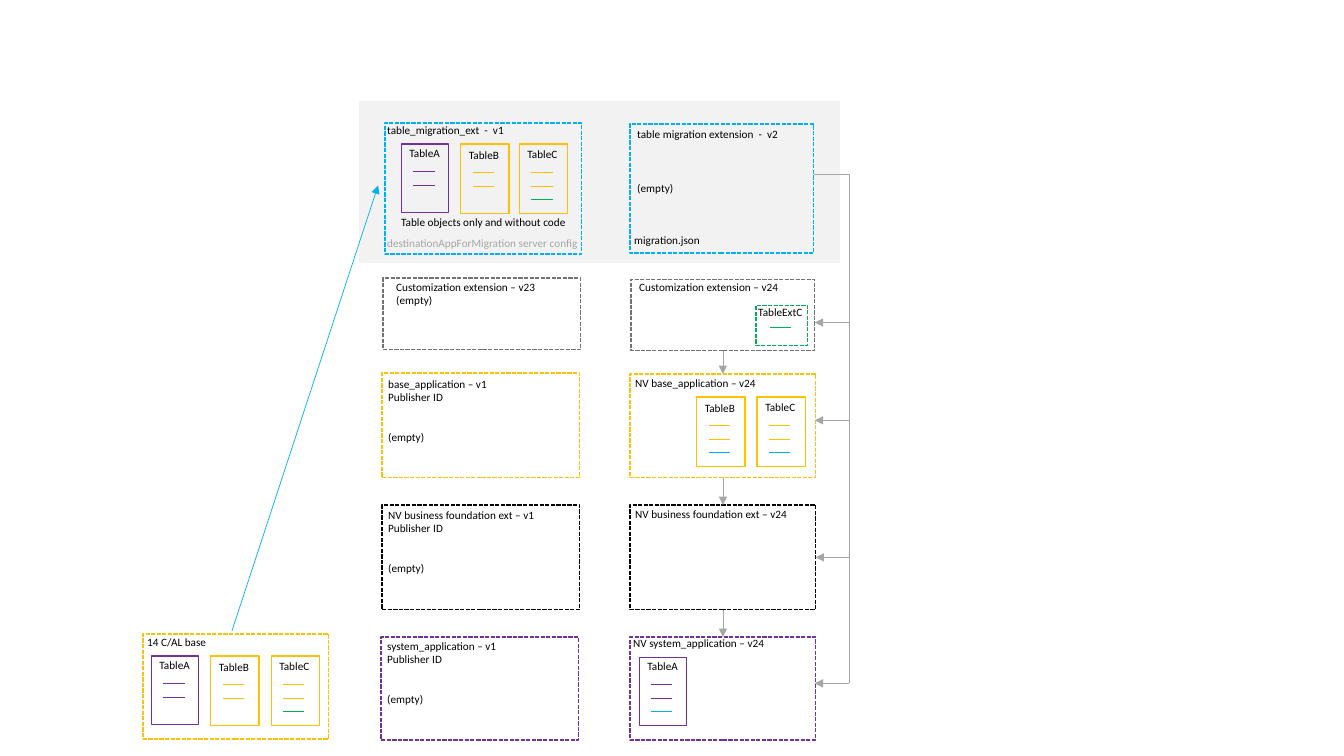
from dataclasses import dataclass

from lxml import etree
from pptx import Presentation
from pptx.dml.color import RGBColor
from pptx.enum.dml import MSO_LINE
from pptx.enum.shapes import MSO_CONNECTOR, MSO_SHAPE
from pptx.enum.text import MSO_AUTO_SIZE
from pptx.oxml.ns import qn
from pptx.util import Emu, Pt

RECTANGLE = MSO_SHAPE.RECTANGLE
STRAIGHT = MSO_CONNECTOR.STRAIGHT
DASH = MSO_LINE.SQUARE_DOT
FIT_TEXT = MSO_AUTO_SIZE.SHAPE_TO_FIT_TEXT
TOP, BOTTOM, RIGHT = 0, 2, 3
EMU_PER_PX = 9144


@dataclass(frozen=True)
class Theme:
    """Colours, font and sizes of the slide."""
    band: str = "F2F2F2"
    text: str = "000000"
    muted: str = "A6A6A6"
    custom: str = "767171"
    system: str = "7030A0"
    base: str = "FFC000"
    migration: str = "00B0F0"
    added: str = "00B050"
    font: str = "Calibri"
    text_size: float = 8
    border: float = 1
    hairline: float = 0.5


THEME = Theme()
TABLES = {
    "TableA": (THEME.system, 47, 68, -2),
    "TableB": (THEME.base, 48, 69, 0),
    "TableC": (THEME.base, 48, 69, -1),
}


def px(length):
    """Turn px into EMU."""
    return Emu(length * EMU_PER_PX)


def apply_format(target, values):
    """Set each named attribute on the target."""
    for name, value in values.items():
        setattr(target, name, value)


class Diagram:
    """Draws the diagram elements on one slide."""

    def __init__(self, slide, theme):
        """Keep the slide and the theme."""
        self.shapes = slide.shapes
        self.theme = theme

    def rectangle(self, left, top, width, height, colour, fill=None, dash=None):
        """Add an outlined rectangle."""
        shape = self.shapes.add_shape(RECTANGLE, px(left), px(top), px(width), px(height))
        shape.shadow.inherit = False
        if fill:
            shape.fill.solid()
            shape.fill.fore_color.rgb = RGBColor.from_string(fill)
        else:
            shape.fill.background()
        shape.line.color.rgb = RGBColor.from_string(colour)
        apply_format(shape.line, {"width": Pt(self.theme.border), "dash_style": dash})
        return shape

    def frame(self, left, top, width, height, colour):
        """Add a dashed extension frame."""
        return self.rectangle(left, top, width, height, colour, dash=DASH)

    def text(self, left, top, width, height, lines, colour=None, gap=0, inset=(4, 4)):
        """Add a text box with the gap in points above its last line."""
        box = self.shapes.add_textbox(px(left), px(top), px(width), px(height))
        across, down = map(px, inset)
        frame = box.text_frame
        apply_format(frame, {
            "word_wrap": True, "auto_size": FIT_TEXT,
            "margin_left": across, "margin_right": across,
            "margin_top": down, "margin_bottom": down,
        })
        frame.text = "\n".join(lines)
        for paragraph in frame.paragraphs:
            font = paragraph.runs[0].font
            apply_format(font, {"name": self.theme.font, "size": Pt(self.theme.text_size)})
            font.color.rgb = RGBColor.from_string(colour or self.theme.text)
        if gap:
            frame.paragraphs[-1].space_before = Pt(gap)

    def line(self, start, end, colour, width, arrow=False):
        """Add a straight line, with an arrowhead at its end if asked."""
        connector = self.shapes.add_connector(STRAIGHT, *map(px, start + end))
        connector.line.color.rgb = RGBColor.from_string(colour)
        connector.line.width = Pt(width)
        properties = connector._element.spPr
        if arrow:
            etree.SubElement(properties.find(qn("a:ln")), qn("a:tailEnd"), type="triangle")
        etree.SubElement(properties, qn("a:effectLst"))
        return connector

    def field(self, left, top, colour):
        """Add the short bar that stands for a table field."""
        self.line((left, top), (left + 21, top), colour, self.theme.border)

    def table_card(self, left, top, name, extra=None):
        """Add a table card with two fields and an optional third one."""
        colour, width, height, label_shift = TABLES[name]
        self.rectangle(left, top, width, height, colour)
        fields = zip((41, 27, 14), (colour, colour, extra))
        for rise, field_colour in fields:
            if field_colour:
                self.field(left + 12, top + height - rise, field_colour)
        self.text(left + 4, top + label_shift, 45, 21, [name])

    def depends(self, upper, lower):
        """Join two stacked frames with an arrow."""
        arrow = self.line((0, 0), (0, 0), self.theme.muted, self.theme.hairline, True)
        arrow.begin_connect(upper, BOTTOM)
        arrow.end_connect(lower, TOP)


def draw_migration(diagram):
    """Draw the shaded band with the two migration extensions."""
    theme = diagram.theme
    diagram.rectangle(357, 101, 475, 159, theme.band, fill=theme.band)
    diagram.frame(382, 122, 195, 130, theme.migration)
    diagram.frame(625, 123, 182, 128, theme.migration)
    diagram.table_card(398, 143, "TableA")
    diagram.table_card(457, 143, "TableB")
    diagram.table_card(515, 143, "TableC", theme.added)
    diagram.text(380, 118, 182, 21, ["table_migration_ext  -  v1"])
    diagram.text(388, 209, 188, 24, ["Table objects only and without code"], inset=(10, 5))
    diagram.text(380, 230, 215, 21, ["destinationAppForMigration server config"], theme.muted)
    diagram.text(628, 122, 182, 89, ["table migration extension  -  v2", "(empty)"], gap=29)
    diagram.text(625, 227, 105, 21, ["migration.json"])


def draw_old_versions(diagram):
    """Draw the C/AL base and the column of emptied extensions."""
    theme = diagram.theme
    diagram.frame(142, 629, 184, 104, theme.base)
    diagram.text(142, 626, 175, 21, ["14 C/AL base"])
    diagram.table_card(150, 651, "TableA")
    diagram.table_card(209, 651, "TableB")
    diagram.table_card(269, 651, "TableC", theme.added)
    diagram.line((230, 626), (375, 184), theme.migration, theme.hairline, True)
    diagram.frame(380, 276, 196, 71, theme.custom)
    diagram.text(389, 274, 163, 35, ["Customization extension – v23", "(empty)"])
    emptied = (
        (379, 370, 104, theme.base, 381, 370, "base_application – v1"),
        (379, 501, 104, theme.text, 381, 500, "NV business foundation ext – v1"),
        (378, 632, 102, theme.system, 380, 630, "system_application – v1"),
    )
    for left, top, height, colour, text_left, text_top, title in emptied:
        diagram.frame(left, top, 196, height, colour)
        diagram.text(text_left, text_top, 170, 75, [title, "Publisher ID", "(empty)"], gap=19)


def draw_new_versions(diagram):
    """Draw the v24 column, its dependencies and the migration rail."""
    theme = diagram.theme
    extensions = (
        (626, 277, 182, 71, theme.custom, 630, 274, "Customization extension – v24"),
        (625, 371, 184, 103, theme.base, 626, 369, "NV base_application – v24"),
        (625, 501, 184, 104, theme.text, 626, 499, "NV business foundation ext – v24"),
        (625, 632, 184, 102, theme.system, 624, 627, "NV system_application – v24"),
    )
    frames = []
    for left, top, width, height, colour, text_left, text_top, title in extensions:
        frames.append(diagram.frame(left, top, width, height, colour))
        diagram.text(text_left, text_top, 170, 21, [title])
    for upper, lower in zip(frames, frames[1:]):
        diagram.depends(upper, lower)

    diagram.frame(750, 303, 51, 40, theme.added)
    diagram.field(764, 325, theme.added)
    diagram.text(748, 299, 56, 21, ["TableExtC"])
    diagram.table_card(691, 394, "TableB", theme.migration)
    diagram.table_card(751, 394, "TableC", theme.migration)
    diagram.table_card(634, 652, "TableA", theme.migration)

    rail = 842
    diagram.line((rail, 678), (rail, 173), theme.muted, theme.hairline)
    diagram.line((rail, 173), (807, 173), theme.muted, theme.hairline)
    for level in (320, 417, 678):
        diagram.line((rail, level), (808, level), theme.muted, theme.hairline, True)
    foundation = diagram.line((rail, 553), (809, 553), theme.muted, theme.hairline, True)
    foundation.end_connect(frames[2], RIGHT)


def main():
    """Build and save the slide."""
    presentation = Presentation()
    apply_format(presentation, {"slide_width": px(1333), "slide_height": px(750)})
    slide = presentation.slides.add_slide(presentation.slide_layouts[6])
    diagram = Diagram(slide, THEME)
    draw_migration(diagram)
    draw_old_versions(diagram)
    draw_new_versions(diagram)
    presentation.save("out.pptx")


if __name__ == "__main__":
    main()
